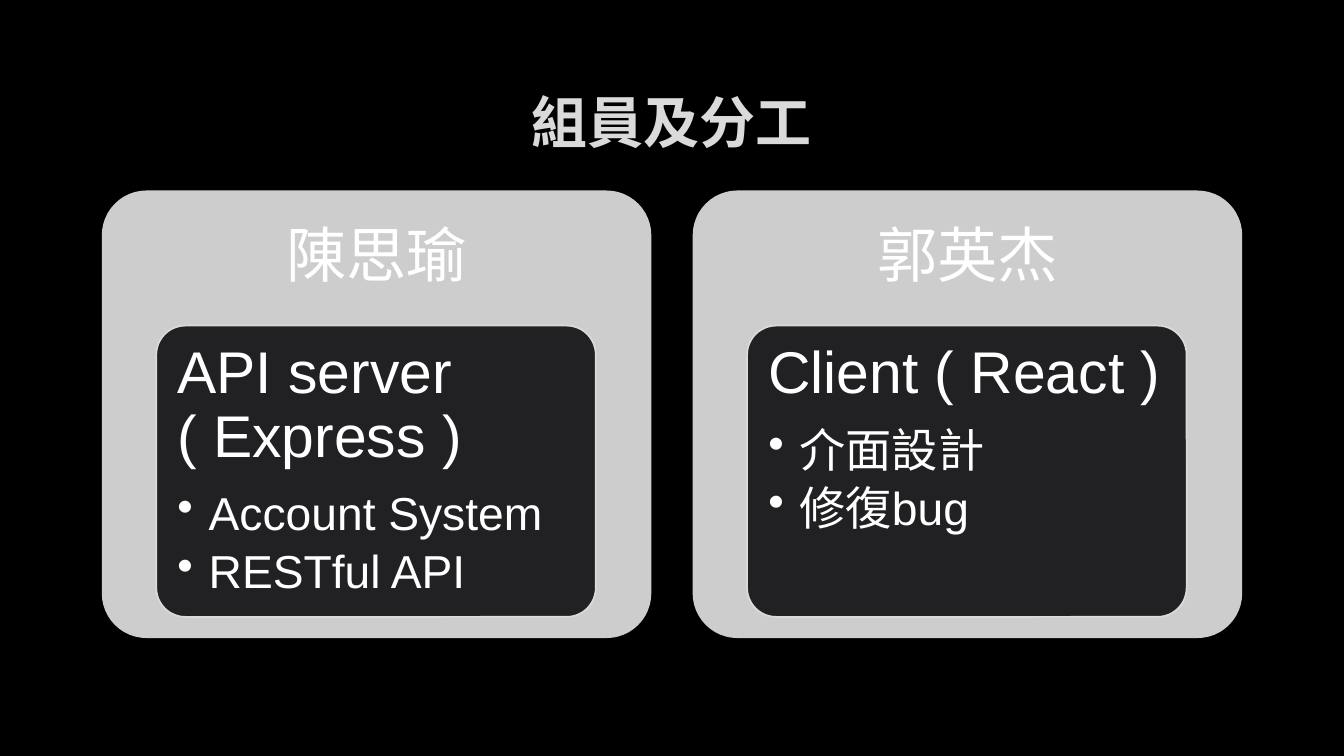
from lxml import etree
from pptx import Presentation
from pptx.dml.color import RGBColor
from pptx.enum.shapes import MSO_SHAPE as SHAPE
from pptx.enum.text import MSO_ANCHOR as ANCHOR, PP_ALIGN as ALIGN
from pptx.oxml import parse_xml
from pptx.oxml.ns import nsdecls, qn
from pptx.util import Inches, Pt

CARD_LEFT, CARD_TOP, CARD_W, CARD_H = 1.01, 1.89, 5.45, 4.44
CARD_STEP = 5.86
MEMBERS = [
    ("陳思瑜", "API server ( Express )", ["Account System", "RESTful API"]),
    ("郭英杰", "Client ( React )", ["介面設計", "修復bug"]),
]


def rgb(color):
    """Turn a hex string into a colour."""
    return RGBColor.from_string(color)


def set_all(obj, values):
    """Set every attribute named in a dict."""
    for name, value in values.items():
        setattr(obj, name, value)


def style_run(p, text, size, color="FFFFFF", bold=False):
    """Add a run of formatted text to a paragraph."""
    r = p.add_run()
    r.text = text
    set_all(r.font, {"name": "Arial", "size": Pt(size), "bold": bold})
    r.font.color.rgb = rgb(color)
    return r


def add_panel(s, box, fill, line=None):
    """Add a rounded panel with an optional outline."""
    sp = s.shapes.add_shape(SHAPE.ROUNDED_RECTANGLE, *map(Inches, box))
    sp.adjustments[0] = 0.1
    sp.shadow.inherit = False
    sp.fill.solid()
    sp.fill.fore_color.rgb = rgb(fill)
    if line:
        sp.line.color.rgb = rgb(line)
        sp.line.width = Pt(1.25)
    else:
        sp.line.fill.background()


def add_textbox(s, box, inset_x, inset_y, anchor):
    """Add a wrapping text box and return its frame."""
    tf = s.shapes.add_textbox(*map(Inches, box)).text_frame
    x, y = Inches(inset_x), Inches(inset_y)
    set_all(tf, {"word_wrap": True, "vertical_anchor": anchor,
                 "margin_left": x, "margin_right": x,
                 "margin_top": y, "margin_bottom": y})
    return tf


def add_bullet(tf, text):
    """Add a bulleted duty with a hanging indent."""
    p = tf.add_paragraph()
    pPr = p._p.get_or_add_pPr()
    pPr.set("marL", str(Inches(0.31)))
    pPr.set("indent", str(-Inches(0.31)))
    etree.SubElement(pPr, qn("a:buChar")).set("char", "•")
    set_all(p, {"level": 1, "line_spacing": 0.9, "space_after": Pt(6)})
    style_run(p, text, 33)


def add_card(s, left, name, role, duties):
    """Add a member card with a name, a role and duties."""
    add_panel(s, (left, CARD_TOP, CARD_W, CARD_H), "CDCDCD")
    tf = add_textbox(s, (left, CARD_TOP, CARD_W, 1.33), 0.18, 0.18, ANCHOR.MIDDLE)
    p = tf.paragraphs[0]
    set_all(p, {"alignment": ALIGN.CENTER, "line_spacing": 0.9})
    style_run(p, name, 43)

    add_panel(s, (left + 0.54, 3.23, 4.36, 2.89), "212123", "DADADA")
    tf = add_textbox(s, (left + 0.63, 3.31, 4.19, 2.72), 0.12, 0.09, ANCHOR.TOP)
    p = tf.paragraphs[0]
    set_all(p, {"line_spacing": 0.9, "space_after": Pt(15)})
    style_run(p, role, 42)
    for duty in duties:
        add_bullet(tf, duty)


def add_title(s, text):
    """Place and format the slide title."""
    sp = s.shapes.title
    set_all(sp, {"left": Inches(1), "top": Inches(0.67),
                 "width": Inches(11.32), "height": Inches(1.06)})
    tf = sp.text_frame
    tf.vertical_anchor = ANCHOR.MIDDLE
    p = tf.paragraphs[0]
    p.alignment = ALIGN.CENTER
    r = style_run(p, text, 40, "DADADA", True)
    r._r.get_or_add_rPr().insert(0, parse_xml(
        f'<a:ln {nsdecls("a")} w="{Pt(0.75)}"><a:solidFill><a:srgbClr val="404040">'
        '<a:alpha val="10000"/></a:srgbClr></a:solidFill></a:ln>'))


def main():
    """Build the slide and save it."""
    prs = Presentation()
    set_all(prs, {"slide_width": Inches(13.33), "slide_height": Inches(7.5)})
    s = prs.slides.add_slide(prs.slide_layouts[5])
    s.background.fill.solid()
    s.background.fill.fore_color.rgb = rgb("000000")
    add_title(s, "組員及分工")
    for i, member in enumerate(MEMBERS):
        add_card(s, CARD_LEFT + i * CARD_STEP, *member)
    prs.save("out.pptx")


if __name__ == "__main__":
    main()
